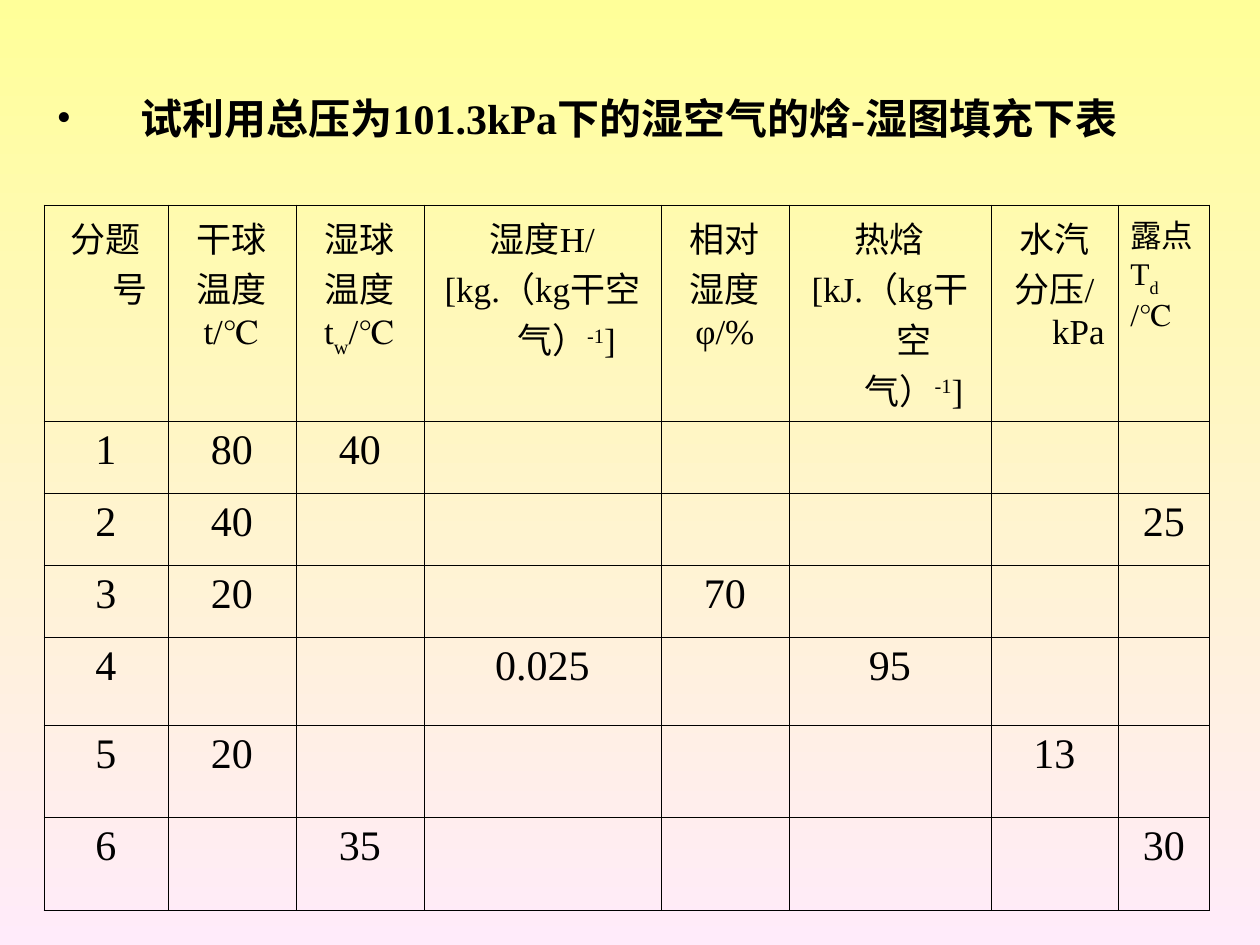
from dataclasses import dataclass

from lxml import etree
from pptx import Presentation
from pptx.dml.color import RGBColor
from pptx.enum.text import MSO_ANCHOR, MSO_AUTO_SIZE, PP_ALIGN
from pptx.oxml.ns import qn
from pptx.util import Emu, Pt

LEFT, CENTER = PP_ALIGN.LEFT, PP_ALIGN.CENTER
TOP = MSO_ANCHOR.TOP
NO_AUTOFIT = MSO_AUTO_SIZE.NONE
TITLE_ONLY = 5
PX_PER_INCH = 126


@dataclass(frozen=True)
class Theme:
    font: str = "Times New Roman"
    ink: str = "000000"
    background_top: str = "FFFF99"
    background_bottom: str = "FFEBFA"
    title_size: int = 24
    header_size: int = 20
    small_header_size: int = 18
    value_size: int = 24
    border_points: float = 0.45


@dataclass(frozen=True)
class Run:
    text: str
    baseline: int = 0  # percent: positive raises, negative lowers


@dataclass(frozen=True)
class Column:
    width: int
    header: tuple  # one tuple of runs per paragraph
    header_size: int
    header_align: PP_ALIGN = CENTER


@dataclass(frozen=True)
class Row:
    height: int
    values: tuple


THEME = Theme()
TITLE = "试利用总压为101.3kPa下的湿空气的焓-湿图填充下表"
TITLE_BOX = (44, 86, 1172, 110)
TITLE_INDENT = 84
CELL_INDENT = 48
TABLE_LEFT, TABLE_TOP = 44, 205
HEADER_HEIGHT = 216


def lines(*texts: str) -> tuple:
    return tuple((Run(text),) for text in texts)


def per_kilogram(unit: str) -> tuple:
    return (Run(f"[{unit}.（kg干空气）"), Run("-1", 30), Run("]"))


COLUMNS = (
    Column(124, lines("分题号"), THEME.header_size),
    Column(128, lines("干球", "温度", "t/℃"), THEME.header_size),
    Column(128, lines("湿球", "温度") + ((Run("t"), Run("w", -30), Run("/℃")),),
           THEME.header_size),
    Column(237, lines("湿度H/") + (per_kilogram("kg"),), THEME.header_size),
    Column(128, lines("相对", "湿度", "φ/%"), THEME.header_size),
    Column(202, lines("热焓") + (per_kilogram("kJ"),), THEME.header_size),
    Column(127, lines("水汽", "分压/ kPa"), THEME.header_size),
    Column(92, lines("露点") + ((Run("T"), Run("d", -30)),) + lines("/℃"),
           THEME.small_header_size, LEFT),
)
ROWS = (
    Row(72, ("1", "80", "40", "", "", "", "", "")),
    Row(72, ("2", "40", "", "", "", "", "", "25")),
    Row(72, ("3", "20", "", "", "70", "", "", "")),
    Row(88, ("4", "", "", "0.025", "", "95", "", "")),
    Row(92, ("5", "20", "", "", "", "", "13", "")),
    Row(94, ("6", "", "35", "", "", "", "", "30")),
)


def px(length: int) -> Emu:
    return Emu(round(length * 914400 / PX_PER_INCH))


def set_hanging_indent(paragraph, indent: int) -> None:
    properties = paragraph._p.get_or_add_pPr()
    properties.set("marL", str(px(indent)))
    properties.set("indent", str(-px(indent)))


def add_bullet(paragraph, character: str) -> None:
    properties = paragraph._p.get_or_add_pPr()
    color = etree.SubElement(properties, qn("a:buClr"))
    etree.SubElement(color, qn("a:srgbClr"), val=THEME.ink)
    etree.SubElement(properties, qn("a:buFont"), typeface=THEME.font)
    etree.SubElement(properties, qn("a:buChar"), char=character)


def format_paragraph(paragraph, size: int, align: PP_ALIGN, bold: bool = False) -> None:
    paragraph.alignment = align
    font = paragraph.font
    font.name, font.size, font.bold = THEME.font, Pt(size), bold
    font.color.rgb = RGBColor.from_string(THEME.ink)


def paint_background(slide) -> None:
    fill = slide.background.fill
    fill.gradient()
    fill.gradient_angle = 270
    colors = (THEME.background_top, THEME.background_bottom)
    for stop, color in zip(fill.gradient_stops, colors):
        stop.color.rgb = RGBColor.from_string(color)


def add_title(slide) -> None:
    title = slide.shapes.title
    title.left, title.top, title.width, title.height = map(px, TITLE_BOX)
    frame = title.text_frame
    frame.text = TITLE
    frame.word_wrap, frame.auto_size = True, NO_AUTOFIT
    frame.vertical_anchor = TOP
    paragraph = frame.paragraphs[0]
    set_hanging_indent(paragraph, TITLE_INDENT)
    add_bullet(paragraph, "•")
    format_paragraph(paragraph, THEME.title_size, LEFT, bold=True)


def add_borders(cell) -> None:
    properties = cell._tc.get_or_add_tcPr()
    for position, side in enumerate(("lnL", "lnR", "lnT", "lnB")):
        line = etree.Element(qn(f"a:{side}"), w=str(Pt(THEME.border_points)))
        fill = etree.SubElement(line, qn("a:solidFill"))
        etree.SubElement(fill, qn("a:srgbClr"), val=THEME.ink)
        properties.insert(position, line)


def fill_cell(cell, paragraphs: tuple, size: int, align: PP_ALIGN) -> None:
    cell.fill.background()
    add_borders(cell)
    frame = cell.text_frame
    for index, runs in enumerate(paragraphs):
        paragraph = frame.add_paragraph() if index else frame.paragraphs[0]
        set_hanging_indent(paragraph, CELL_INDENT)
        format_paragraph(paragraph, size, align)
        for item in runs:
            run = paragraph.add_run()
            run.text = item.text
            if item.baseline:
                run._r.get_or_add_rPr().set("baseline", str(item.baseline * 1000))


def add_humidity_table(slide) -> None:
    heights = [HEADER_HEIGHT] + [row.height for row in ROWS]
    width = sum(column.width for column in COLUMNS)
    table = slide.shapes.add_table(
        len(heights), len(COLUMNS), px(TABLE_LEFT), px(TABLE_TOP),
        px(width), px(sum(heights))).table
    table.first_row = table.horz_banding = False
    for table_row, height in zip(table.rows, heights):
        table_row.height = px(height)

    for index, column in enumerate(COLUMNS):
        table.columns[index].width = px(column.width)
        fill_cell(table.cell(0, index), column.header,
                  column.header_size, column.header_align)
        for row_index, row in enumerate(ROWS, start=1):
            value = row.values[index]
            fill_cell(table.cell(row_index, index), lines(value) if value else (),
                      THEME.value_size, CENTER)


def main() -> None:
    presentation = Presentation()
    presentation.slide_width, presentation.slide_height = px(1260), px(945)
    slide = presentation.slides.add_slide(presentation.slide_layouts[TITLE_ONLY])
    paint_background(slide)
    add_title(slide)
    add_humidity_table(slide)
    presentation.save("out.pptx")


if __name__ == "__main__":
    main()
